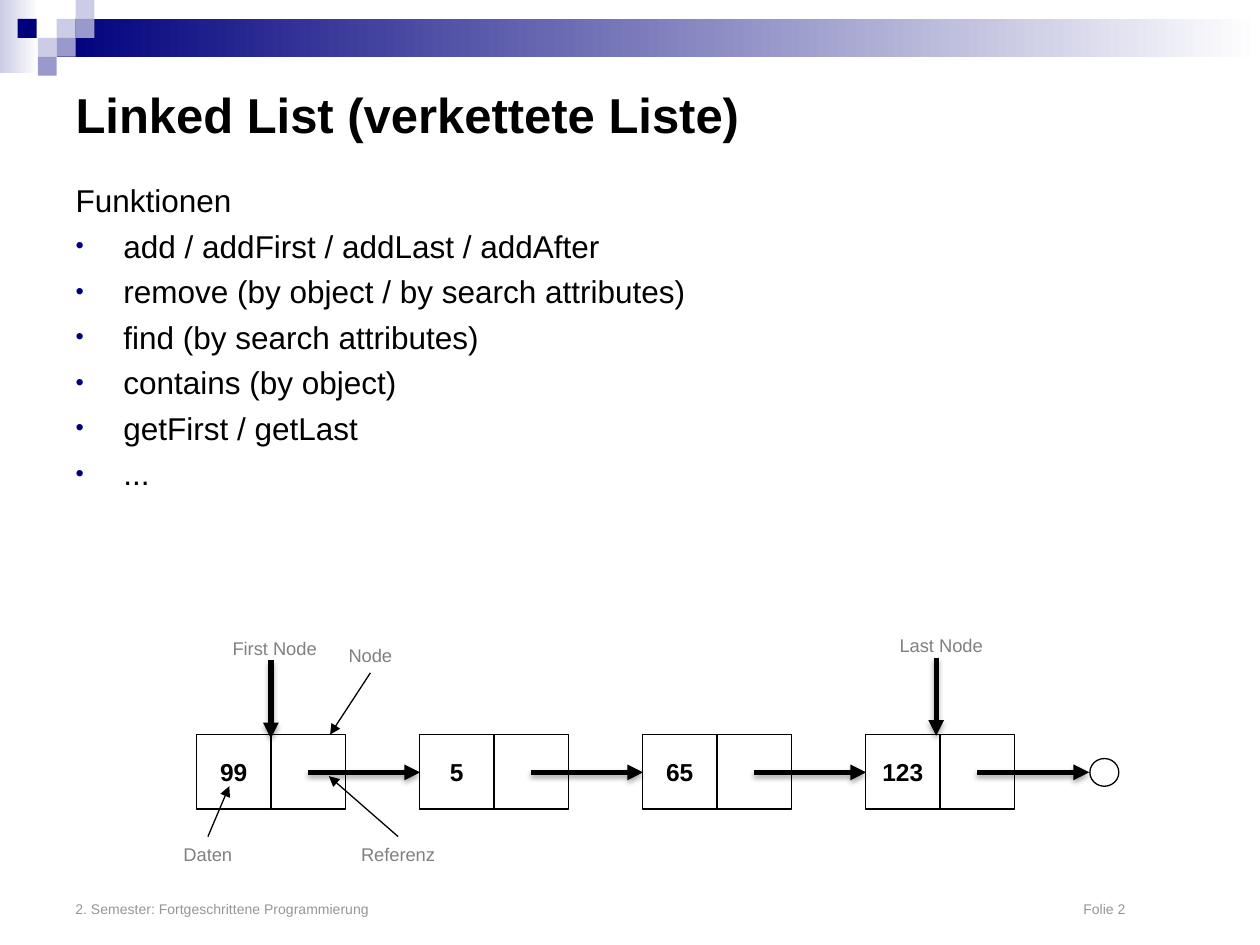
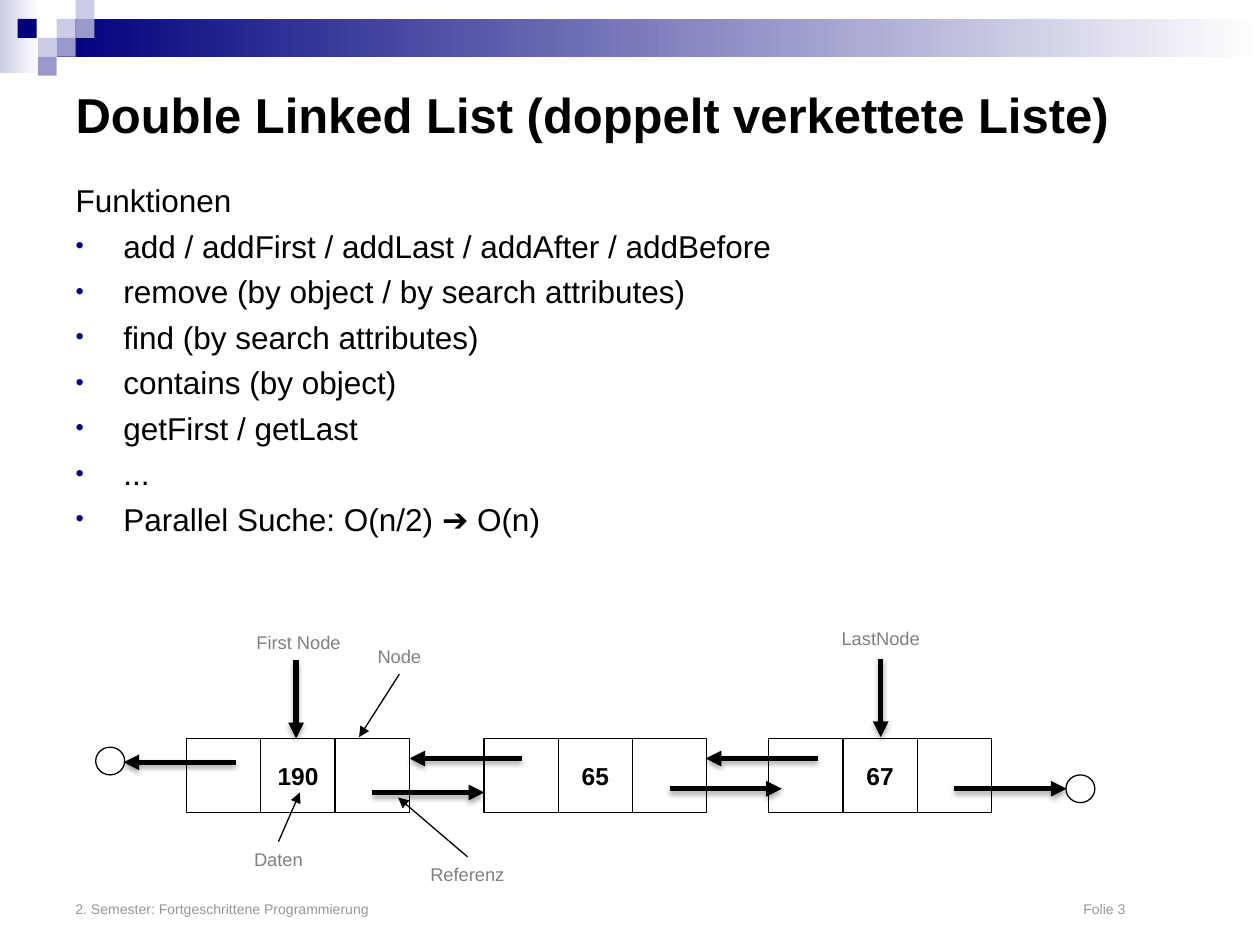
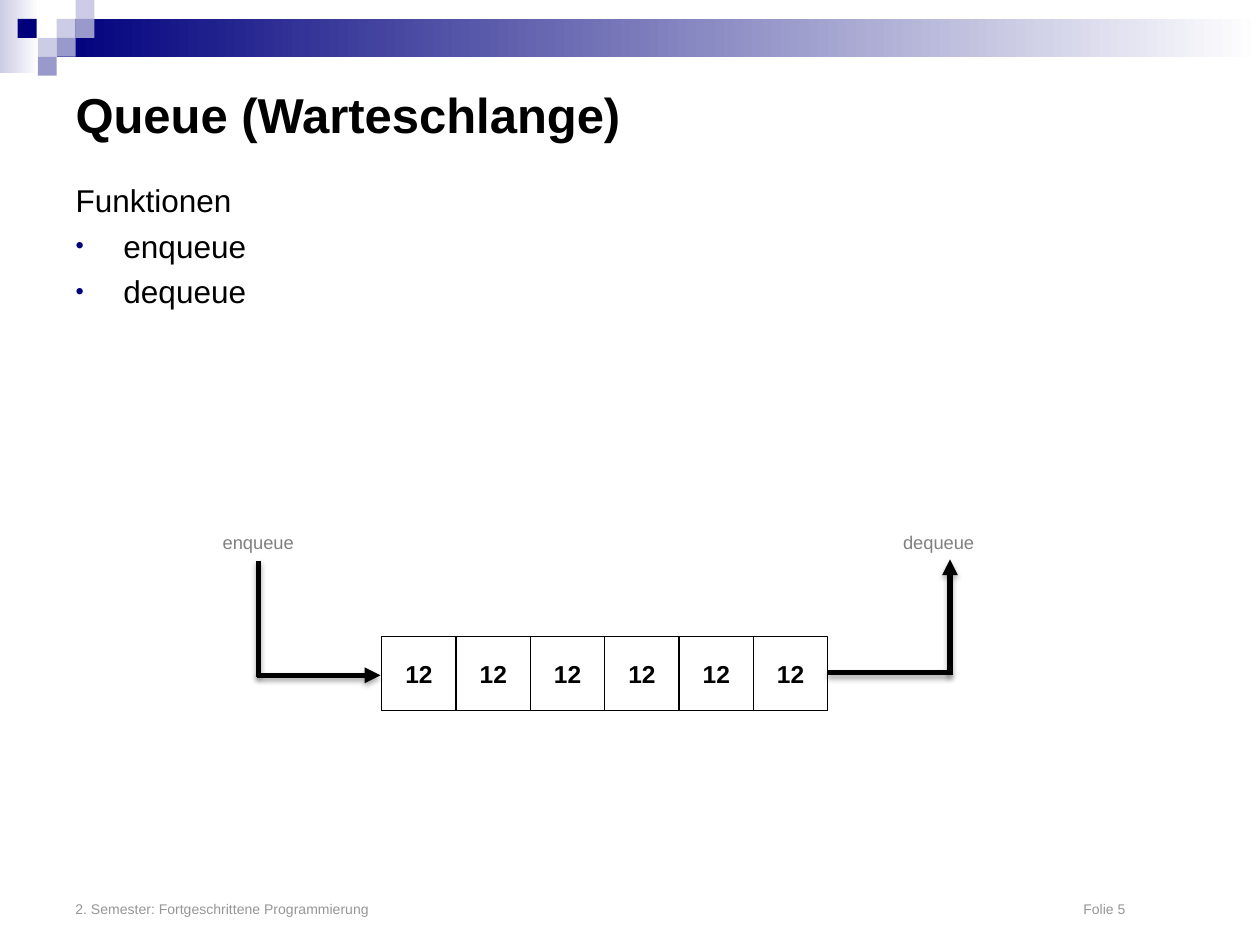
import collections
import pptx
import pptx.dml.color
import pptx.enum.shapes
import pptx.enum.text
import pptx.oxml
import pptx.oxml.ns
import pptx.util

Inches = pptx.util.Inches
Pt = pptx.util.Pt
SHAPE = pptx.enum.shapes.MSO_SHAPE
ALIGN = pptx.enum.text.PP_ALIGN
ANCHOR = pptx.enum.text.MSO_ANCHOR
AUTO_SIZE = pptx.enum.text.MSO_AUTO_SIZE

Box = collections.namedtuple("Box", "left top width height")

COLORS = {
    "ink": "000000",
    "navy": "00007D",
    "lilac": "9999CC",
    "pale": "CCCCE6",
    "white": "FFFFFF",
    "label": "808080",
    "footer": "969696",
}
FONT = "Arial"
CELL = 0.59
REACH = 0.89
TILE = 0.15
TITLE_BOX = Box(0.5, 0.5, 9, 0.81)
FOOTER_BOX = Box(0.5, 6.83, 9, 0.5)
COURSE = "2. Semester: Fortgeschrittene Programmierung"

SHADOW = (
    '<a:effectLst %s><a:outerShdw blurRad="40000" dist="23000" dir="5400000" rotWithShape="0">'
    '<a:srgbClr val="{ink}"><a:alpha val="35000"/></a:srgbClr></a:outerShdw></a:effectLst>'
).format(**COLORS)


def color(name):
    return pptx.dml.color.RGBColor.from_string(COLORS[name])


def add_xml(parent, markup):
    parent.append(pptx.oxml.parse_xml(markup % pptx.oxml.ns.nsdecls("a")))


def place(shape, box):
    shape.left, shape.top, shape.width, shape.height = map(Inches, box)


def write(paragraph, text, size, ink="ink", bold=False):
    run = paragraph.add_run()
    run.text = text
    run.font.name = FONT
    run.font.size = Pt(size)
    run.font.bold = bold
    run.font.color.rgb = color(ink)


def outline(parts, kind, box):
    shape = parts.add_shape(kind, *map(Inches, box))
    shape.shadow.inherit = False
    shape.fill.background()
    shape.line.color.rgb = color("ink")
    shape.line.width = Pt(0.75)
    return shape


def add_cell(parts, left, top, value=None):
    cell = outline(parts, SHAPE.RECTANGLE, Box(left, top, CELL, CELL))
    if value:
        frame = cell.text_frame
        frame.word_wrap = False
        frame.vertical_anchor = ANCHOR.MIDDLE
        frame.paragraphs[0].alignment = ALIGN.CENTER
        write(frame.paragraphs[0], value, 14, bold=True)


def add_node(slide, left, top, values):
    node = slide.shapes.add_group_shape().shapes
    for column, value in enumerate(values):
        add_cell(node, left + column * CELL, top, value)


def add_list_end(slide, left, top):
    outline(slide.shapes, SHAPE.OVAL, Box(left, top, 0.23, 0.22))


def add_arrow(parts, box, start, end, thick=True, head=True):
    arrow = parts.add_connector(
        pptx.enum.shapes.MSO_CONNECTOR.STRAIGHT,
        Inches(box.left + start[0]), Inches(box.top + start[1]),
        Inches(box.left + end[0]), Inches(box.top + end[1]))
    arrow.line.color.rgb = color("ink")
    arrow.line.width = Pt(3 if thick else 0.75)
    properties = arrow.element.spPr
    if head:
        add_xml(properties.find(pptx.oxml.ns.qn("a:ln")), '<a:tailEnd %s type="triangle"/>')
    add_xml(properties, SHADOW if thick else "<a:effectLst %s/>")


def add_label(slide, box, text, width, center, top):
    label = slide.shapes.add_textbox(
        Inches(box.left + center - width / 2), Inches(box.top + top), Inches(width), Inches(0.28))
    frame = label.text_frame
    frame.word_wrap = False
    frame.auto_size = AUTO_SIZE.SHAPE_TO_FIT_TEXT
    frame.paragraphs[0].alignment = ALIGN.CENTER
    write(frame.paragraphs[0], text, 10.5, "label")


def add_callout(slide, box, text, width, center, top, tip):
    add_label(slide, box, text, width, center, top)
    start = (center, top if tip[1] < top else top + 0.28)
    add_arrow(slide.shapes, box, start, tip, thick=False)


def add_entry_point(slide, box, text, width, center, top, tip):
    add_label(slide, box, text, width, center, top)
    add_arrow(slide.shapes, box, (tip[0], tip[1] - 0.62), tip)


def add_master_band(prs, slide):
    band = slide.shapes.add_group_shape()

    def block(left, top, width, height, first, last=None):
        shape = band.shapes.add_shape(SHAPE.RECTANGLE, *map(Inches, (left, top, width, height)))
        shape.shadow.inherit = False
        shape.line.fill.background()
        if last:
            shape.fill.gradient()
            shape.fill.gradient_angle = 0
            for stop, name in zip(shape.fill.gradient_stops, (first, last)):
                stop.color.rgb = color(name)
        else:
            shape.fill.solid()
            shape.fill.fore_color.rgb = color(first)

    block(0, 0, 0.31, 0.58, "pale", "white")
    block(0.45, TILE, 9.55, 2 * TILE, "navy", "white")
    for left, row, name in (
        (0.45, 1, "pale"), (0.6, 0, "pale"), (0.6, 1, "lilac"), (0.3, 2, "pale"),
        (0.14, 1, "navy"), (0.45, 2, "lilac"), (0.3, 3, "lilac"),
    ):
        block(left, row * TILE, TILE, TILE, name)

    for number, item in enumerate(band.element.iter(pptx.oxml.ns.qn("p:cNvPr")), 100):
        item.set("id", str(number))
    prs.slide_master.shapes.element.insert(2, band.element)


def fill_title(slide, box, text):
    title = slide.shapes.title
    place(title, box)
    frame = title.text_frame
    frame.auto_size = AUTO_SIZE.NONE
    frame.vertical_anchor = ANCHOR.MIDDLE
    frame.paragraphs[0].alignment = ALIGN.LEFT
    write(frame.paragraphs[0], text, 28, bold=True)


def fill_functions(slide, box, functions):
    body = slide.placeholders[1]
    place(body, box)
    frame = body.text_frame
    frame.auto_size = AUTO_SIZE.NONE
    for index, text in enumerate(["Funktionen"] + functions):
        paragraph = frame.add_paragraph() if index else frame.paragraphs[0]
        paragraph.space_before = Pt(4.4)
        properties = paragraph._p.get_or_add_pPr()
        properties.set("marL", str(Inches(0.38)))
        properties.set("indent", str(-Inches(0.38)))
        if index:
            add_xml(properties, '<a:buClr %s><a:srgbClr val="{navy}"/></a:buClr>'.format(**COLORS))
            add_xml(properties, '<a:buSzPct %s val="75000"/>')
            add_xml(properties, '<a:buFont %s typeface="Arial"/>')
            add_xml(properties, '<a:buChar %s char="•"/>')
        else:
            add_xml(properties, "<a:buNone %s/>")
        write(paragraph, text, 18)


def add_footer(slide, box, number):
    frame = slide.shapes.add_textbox(*map(Inches, box)).text_frame
    frame.word_wrap = True
    frame.vertical_anchor = ANCHOR.BOTTOM
    line = frame.paragraphs[0]
    add_xml(line._p.get_or_add_pPr(),
            f'<a:tabLst %s><a:tab pos="{Inches(8)}" algn="l"/></a:tabLst>')
    write(line, f"{COURSE}\tFolie {number}", 8, "footer")


def add_slide(prs, title, functions, body_height, number):
    slide = prs.slides.add_slide(prs.slide_layouts[1])
    fill_title(slide, TITLE_BOX, title)
    fill_functions(slide, Box(0.5, 1.39, 9, body_height), functions)
    add_footer(slide, FOOTER_BOX, number)
    return slide


def draw_linked_list(slide, box):
    pitch = 3 * CELL
    for index, value in enumerate(("99", "5", "65", "123")):
        add_node(slide, box.left + index * pitch, box.top, (value, None))
        start = index * pitch + 1.5 * CELL
        add_arrow(slide.shapes, box, (start, 0.3), (start + REACH, 0.3))
    add_list_end(slide, box.left + 7.09, box.top + 0.19)
    add_callout(slide, box, "Node", 0.56, 1.38, -0.77, (1.06, 0))
    add_callout(slide, box, "Daten", 0.6, 0.09, 0.81, (0.26, 0.41))
    add_callout(slide, box, "Referenz", 0.8, 1.6, 0.81, (1.05, 0.33))
    add_entry_point(slide, box, "First Node", 0.88, 0.62, -0.82, (0.59, 0.03))
    add_entry_point(slide, box, "Last Node", 0.88, 5.91, -0.85, (5.87, 0.01))


def draw_double_linked_list(slide, box):
    for value, left, back_start, back_y, next_y in (
        ("190", 0, 0.39, 0.19, 0.43),
        ("65", 2.36, 0.3, 0.16, 0.4),
        ("67", 4.62, 0.39, 0.16, 0.4),
    ):
        add_node(slide, box.left + left, box.top, (None, value, None))
        back = left + back_start
        ahead = left + 2.5 * CELL
        add_arrow(slide.shapes, box, (back, back_y), (back - REACH, back_y))
        add_arrow(slide.shapes, box, (ahead, next_y), (ahead + REACH, next_y))
    add_list_end(slide, box.left - 0.72, box.top + 0.07)
    add_list_end(slide, box.left + 6.98, box.top + 0.29)
    add_callout(slide, box, "Node", 0.56, 1.69, -0.79, (1.37, -0.01))
    add_callout(slide, box, "Daten", 0.6, 0.73, 0.82, (0.9, 0.43))
    add_callout(slide, box, "Referenz", 0.8, 2.23, 0.94, (1.68, 0.47))
    add_entry_point(slide, box, "First Node", 0.88, 0.89, -0.9, (0.87, 0))
    add_entry_point(slide, box, "LastNode", 0.83, 5.51, -0.93, (5.51, -0.01))


def draw_queue(slide, box):
    for index in range(6):
        add_cell(slide.shapes, box.left + index * CELL, box.top, "12")
    way_in = slide.shapes.add_group_shape().shapes
    add_arrow(way_in, box, (-0.99, 0.31), (-0.01, 0.31))
    add_arrow(way_in, box, (-0.98, 0.32), (-0.98, -0.6), head=False)
    way_out = slide.shapes.add_group_shape().shapes
    add_arrow(way_out, box, (4.51, 0.31), (4.51, -0.61))
    add_arrow(way_out, box, (4.52, 0.29), (3.54, 0.29), head=False)
    add_label(slide, box, "enqueue", 0.78, -0.98, -0.88)
    add_label(slide, box, "dequeue", 0.78, 4.42, -0.88)


prs = pptx.Presentation()
prs.slide_width = Inches(10)
prs.slide_height = Inches(7.5)

lookups = [
    "remove (by object / by search attributes)",
    "find (by search attributes)",
    "contains (by object)",
    "getFirst / getLast",
    "...",
]

linked = add_slide(
    prs, "Linked List (verkettete Liste)",
    ["add / addFirst / addLast / addAfter"] + lookups, 3.64, 2)
add_master_band(prs, linked)
draw_linked_list(linked, Box(1.56, 5.83, 7.32, CELL))

double_linked = add_slide(
    prs, "Double Linked List (doppelt verkettete Liste)",
    ["add / addFirst / addLast / addAfter / addBefore"] + lookups
    + ["Parallel Suche: O(n/2) ➔ O(n)"], 2.62, 3)
draw_double_linked_list(double_linked, Box(1.48, 5.86, 7.21, CELL))

queue = add_slide(prs, "Queue (Warteschlange)", ["enqueue", "dequeue"], 1.42, 5)
draw_queue(queue, Box(3.03, 5.05, 6 * CELL, CELL))

prs.save("out.pptx")
